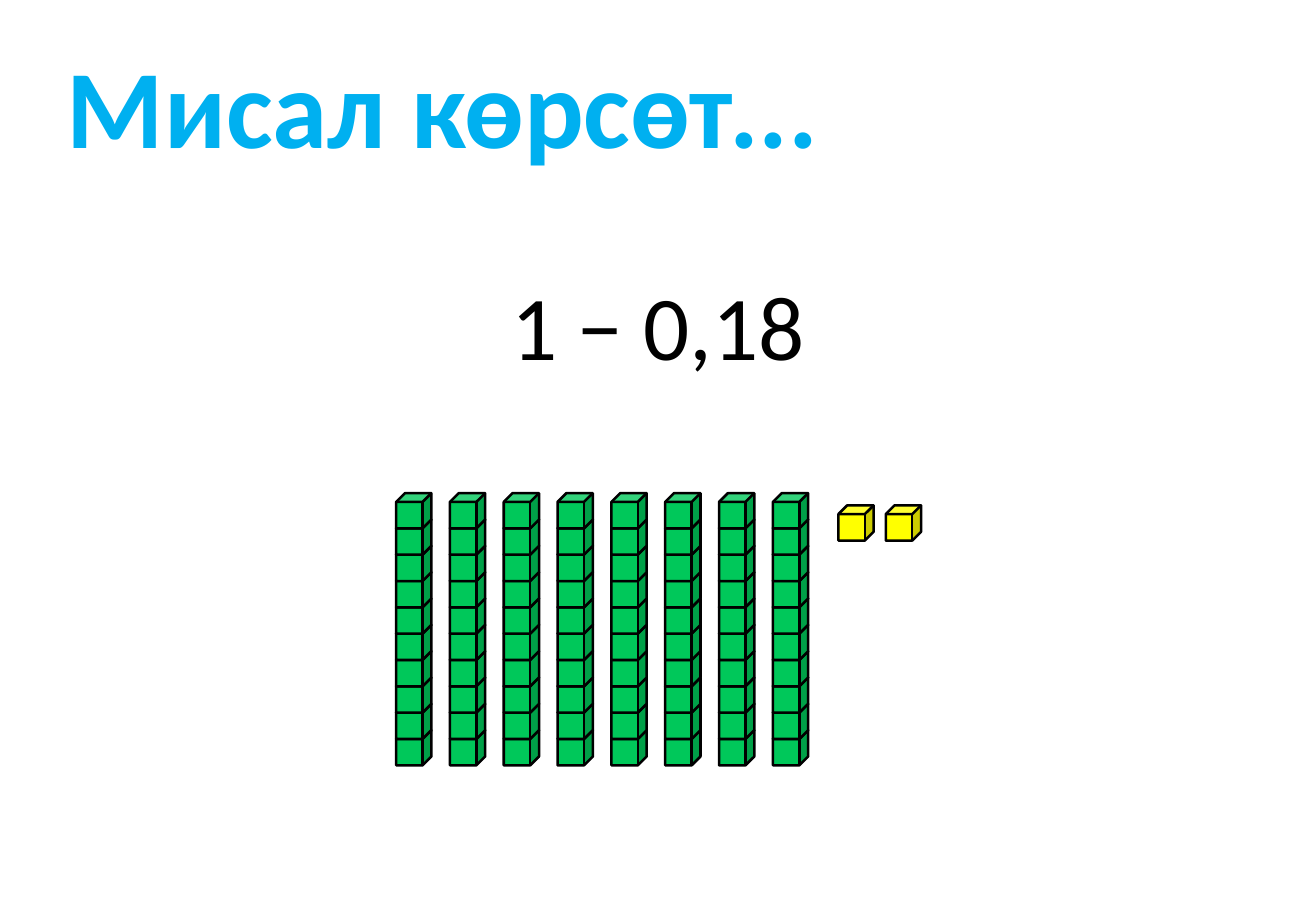
from pptx import Presentation
from pptx.dml.color import RGBColor
from pptx.enum.shapes import MSO_SHAPE
from pptx.enum.text import MSO_AUTO_SIZE, PP_ALIGN
from pptx.util import Inches, Pt

COLORS = {"title": "00B0F0", "text": "000000", "line": "000000",
          "tenth": "00C85A", "hundredth": "FFFF00"}


class Board:
    """Style and current slide; positions are percentages of the slide size."""
    font = "Calibri"
    cube_size = (2.68, 3.87)
    stack_step = 2.89

    def __init__(self, prs):
        self.width, self.height = prs.slide_width, prs.slide_height
        self.s = prs.slides.add_slide(prs.slide_layouts[6])

    def box(self, x, y, w, h):
        """Turn percentages into slide lengths."""
        return (round(self.width * x / 100), round(self.height * y / 100),
                round(self.width * w / 100), round(self.height * h / 100))

    def text(self, text, area, size, color, bold=False, wrap=True,
             align=PP_ALIGN.LEFT, inset=0.1):
        tf = self.s.shapes.add_textbox(*self.box(*area)).text_frame
        tf.word_wrap = wrap
        tf.auto_size = MSO_AUTO_SIZE.SHAPE_TO_FIT_TEXT
        tf.margin_left = Inches(inset)
        p = tf.paragraphs[0]
        p.text = text
        p.alignment = align
        p.font.name, p.font.size, p.font.bold = self.font, Pt(size), bold
        p.font.color.rgb = RGBColor.from_string(COLORS[color])

    def cubes(self, x, y, color, count=1):
        """Group a rod of cubes, stacked from the bottom up to y."""
        group = self.s.shapes.add_group_shape()
        for level in reversed(range(count)):
            top = y + level * self.stack_step
            sp = group.shapes.add_shape(
                MSO_SHAPE.CUBE, *self.box(x, top, *self.cube_size))
            sp.shadow.inherit = False
            sp.fill.solid()
            sp.fill.fore_color.rgb = RGBColor.from_string(COLORS[color])
            sp.line.color.rgb = RGBColor.from_string(COLORS["line"])
            sp.line.width = Pt(1.5)


def main():
    prs = Presentation()
    prs.slide_width, prs.slide_height = Inches(10.83), Inches(7.5)
    board = Board(prs)
    board.text("1 − 0,18", (37.77, 28.93, 24.47, 13.47), 54, "text",
               wrap=False, align=PP_ALIGN.CENTER)
    for rod in range(8):
        board.cubes(30.1 + rod * 4.09, 54.13, "tenth", count=10)
    for unit in range(2):
        board.cubes(63.71 + unit * 3.6, 55.47, "hundredth")
    board.text("Мисал көрсөт...", (2.22, 3.47, 69.62, 16.13), 66, "title",
               bold=True, inset=0.31)
    prs.save("out.pptx")


if __name__ == "__main__":
    main()
